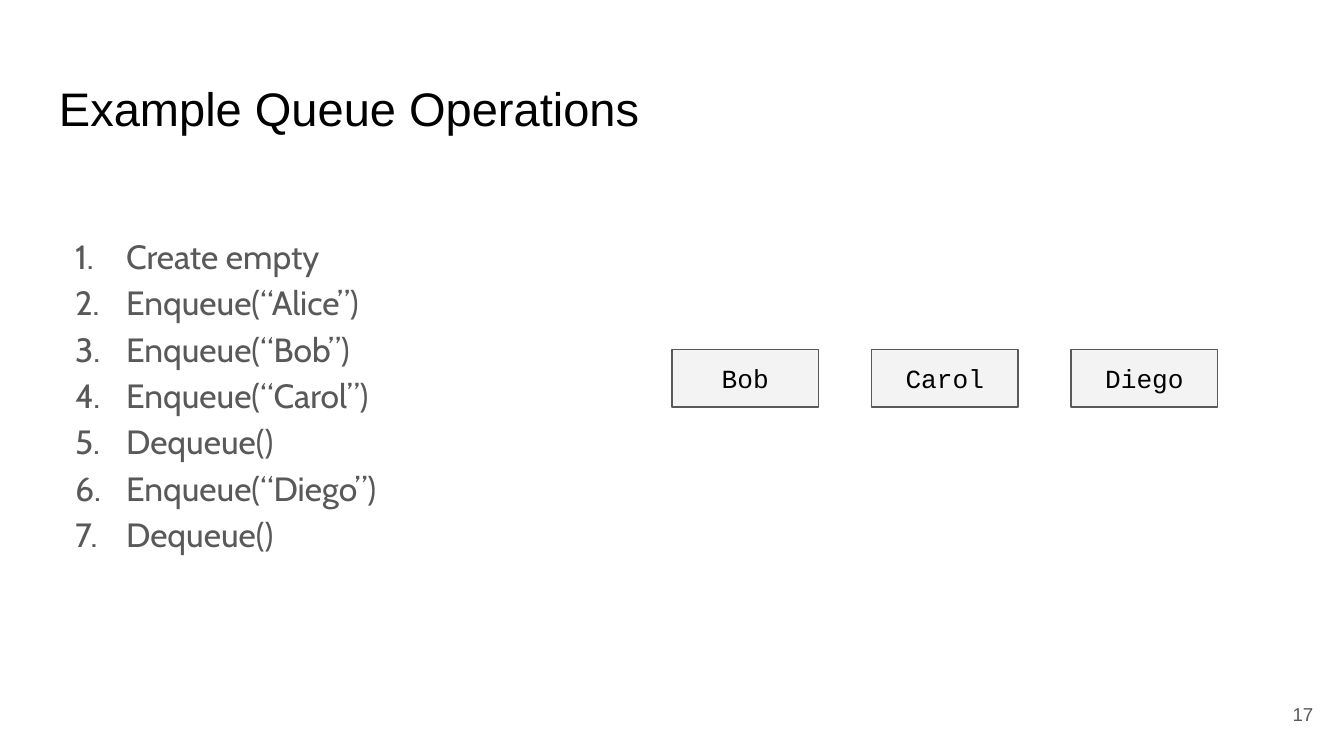
from dataclasses import dataclass

import pptx
import pptx.dml.color
import pptx.enum.shapes
import pptx.enum.text
import pptx.oxml.ns
import pptx.util
from lxml import etree

Inches = pptx.util.Inches
Pt = pptx.util.Pt
RGB = pptx.dml.color.RGBColor.from_string
ALIGN = pptx.enum.text.PP_ALIGN
ANCHOR = pptx.enum.text.MSO_ANCHOR


@dataclass(frozen=True)
class Theme:
    black: str = "000000"
    gray: str = "595959"
    box_fill: str = "F3F3F3"
    title: tuple = ("Arial", 25.2)
    body: tuple = ("Cabin", 18)
    number: tuple = ("Arial", 10)
    node: tuple = ("Courier New", 14)


THEME = Theme()
STEPS = [
    "Create empty",
    "Enqueue(“Alice”)",
    "Enqueue(“Bob”)",
    "Enqueue(“Carol”)",
    "Dequeue()",
    "Enqueue(“Diego”)",
    "Dequeue()",
]
QUEUE = ["Bob", "Carol", "Diego"]


def write(sp, lines, style, color, align=ALIGN.LEFT, anchor=ANCHOR.TOP):
    tf = sp.text_frame
    inset = Inches(0.1)
    frame_format = {
        "word_wrap": True,
        "vertical_anchor": anchor,
        "margin_left": inset,
        "margin_right": inset,
        "margin_top": inset,
        "margin_bottom": inset,
    }
    for name, value in frame_format.items():
        setattr(tf, name, value)
    font, size = style
    for i, line in enumerate(lines):
        p = tf.paragraphs[0] if i == 0 else tf.add_paragraph()
        p.alignment = align
        r = p.add_run()
        r.text = line
        for name, value in {"name": font, "size": Pt(size)}.items():
            setattr(r.font, name, value)
        r.font.color.rgb = RGB(color)
    return tf


def add_text(s, box, *args, **kwargs):
    sp = s.shapes.add_textbox(*map(Inches, box))
    return write(sp, *args, **kwargs)


def number_paragraph(p, color):
    qn = pptx.oxml.ns.qn
    p.line_spacing = 1.15
    pPr = p._p.get_or_add_pPr()
    pPr.set("marL", str(Inches(0.5)))
    pPr.set("indent", str(Inches(-0.38)))
    clr = etree.SubElement(pPr, qn("a:buClr"))
    etree.SubElement(clr, qn("a:srgbClr"), val=color)
    etree.SubElement(pPr, qn("a:buFont"), typeface=THEME.body[0])
    etree.SubElement(pPr, qn("a:buAutoNum"), type="arabicPeriod")


def add_title(s, box, text):
    add_text(s, box, [text], THEME.title, THEME.black)


def add_steps(s, box, steps):
    tf = add_text(s, box, steps, THEME.body, THEME.gray)
    for p in tf.paragraphs:
        number_paragraph(p, THEME.gray)


def add_slide_number(s, box, number):
    add_text(s, box, [str(number)], THEME.number, THEME.gray,
             align=ALIGN.RIGHT, anchor=ANCHOR.MIDDLE)


def add_queue(s, box, names):
    left, top, width, height = box
    node_width = 1.09
    pitch = (width - node_width) / (len(names) - 1)
    for i, name in reversed(list(enumerate(names))):
        node = (left + i * pitch, top, node_width, height)
        sp = s.shapes.add_shape(
            pptx.enum.shapes.MSO_SHAPE.RECTANGLE, *map(Inches, node))
        sp.shadow.inherit = False
        sp.fill.solid()
        sp.fill.fore_color.rgb = RGB(THEME.box_fill)
        sp.line.color.rgb = RGB(THEME.gray)
        sp.line.width = Pt(0.75)
        write(sp, [name], THEME.node, THEME.black,
              align=ALIGN.CENTER, anchor=ANCHOR.MIDDLE)


def main():
    prs = pptx.Presentation()
    prs.slide_width = Inches(10)
    prs.slide_height = Inches(10 * 9 / 16)
    s = prs.slides.add_slide(prs.slide_layouts[6])
    add_title(s, (0.34, 0.49, 9.32, 0.63), "Example Queue Operations")
    add_steps(s, (0.34, 1.61, 4.66, 3.39), STEPS)
    add_slide_number(s, (9.27, 5.1, 0.6, 0.43), 17)
    add_queue(s, (5, 2.6, 4.06, 0.43), QUEUE)
    prs.save("out.pptx")


if __name__ == "__main__":
    main()
